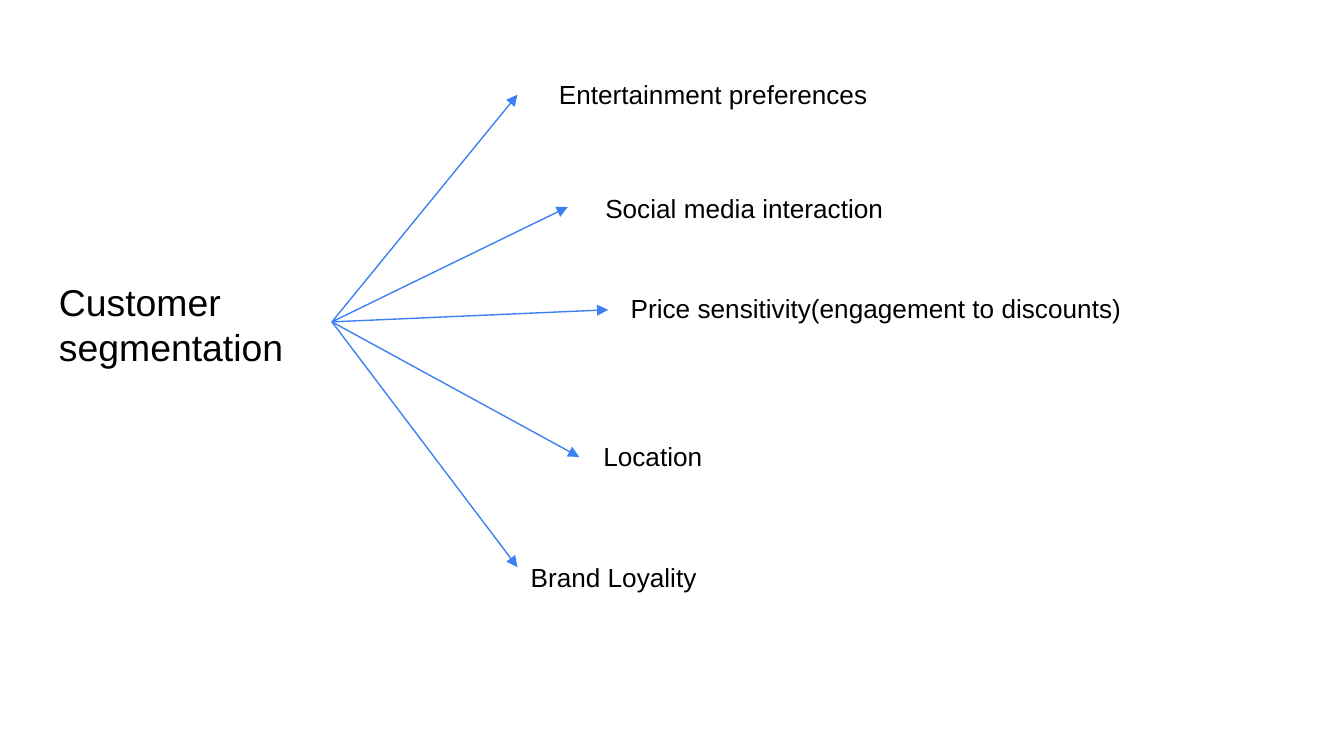
from lxml.etree import SubElement
from pptx import Presentation
from pptx.dml.color import RGBColor as Color
from pptx.enum.shapes import MSO_CONNECTOR as Connector
from pptx.enum.text import MSO_ANCHOR as Anchor
from pptx.oxml.ns import qn
from pptx.util import Pt

PX = 4572
THEME = {
    "font": "Arial",
    "text": Color.from_string("000000"),
    "arrow": Color.from_string("3C81F3"),
    "title_size": Pt(20),
    "label_size": Pt(14),
    "arrow_width": Pt(0.75),
}


def add_text(slide, text, box, size, inset_y):
    shape = slide.shapes.add_textbox(*(value * PX for value in box))
    frame = shape.text_frame
    frame_format = {
        "word_wrap": True,
        "vertical_anchor": Anchor.TOP,
        "margin_left": 20 * PX,
        "margin_right": 20 * PX,
        "margin_top": inset_y * PX,
        "margin_bottom": inset_y * PX,
    }
    for name, value in frame_format.items():
        setattr(frame, name, value)
    run = frame.paragraphs[0].add_run()
    run.text = text
    for name, value in {"name": THEME["font"], "size": size}.items():
        setattr(run.font, name, value)
    run.font.color.rgb = THEME["text"]


def add_arrow(slide, start, end):
    arrow = slide.shapes.add_connector(
        Connector.STRAIGHT, *(value * PX for value in (*start, *end))
    )
    arrow.line.color.rgb = THEME["arrow"]
    arrow.line.width = THEME["arrow_width"]
    properties = arrow._element.spPr
    SubElement(properties.find(qn("a:ln")), qn("a:tailEnd"), type="triangle")
    SubElement(properties, qn("a:effectLst"))


presentation = Presentation()
presentation.slide_width = 2000 * PX
presentation.slide_height = 1125 * PX
slide = presentation.slides.add_slide(presentation.slide_layouts[6])

add_text(slide, "Customer segmentation", (68, 396, 426, 168), THEME["title_size"], 20)

hub = (494, 479)
label_height = 68
segments = [
    ("Entertainment preferences", (770, 141), (812, 107), 504),
    ("Social media interaction", (845, 308), (881, 276), 484),
    ("Price sensitivity(engagement to discounts)", (905, 461), (919, 425), 800),
    ("Location", (862, 680), (878, 646), 398),
    ("Brand Loyality", (770, 844), (770, 825), 588),
]
for text, tip, corner, width in segments:
    add_arrow(slide, hub, tip)
    add_text(slide, text, (*corner, width, label_height), THEME["label_size"], 10)

presentation.save("out.pptx")
